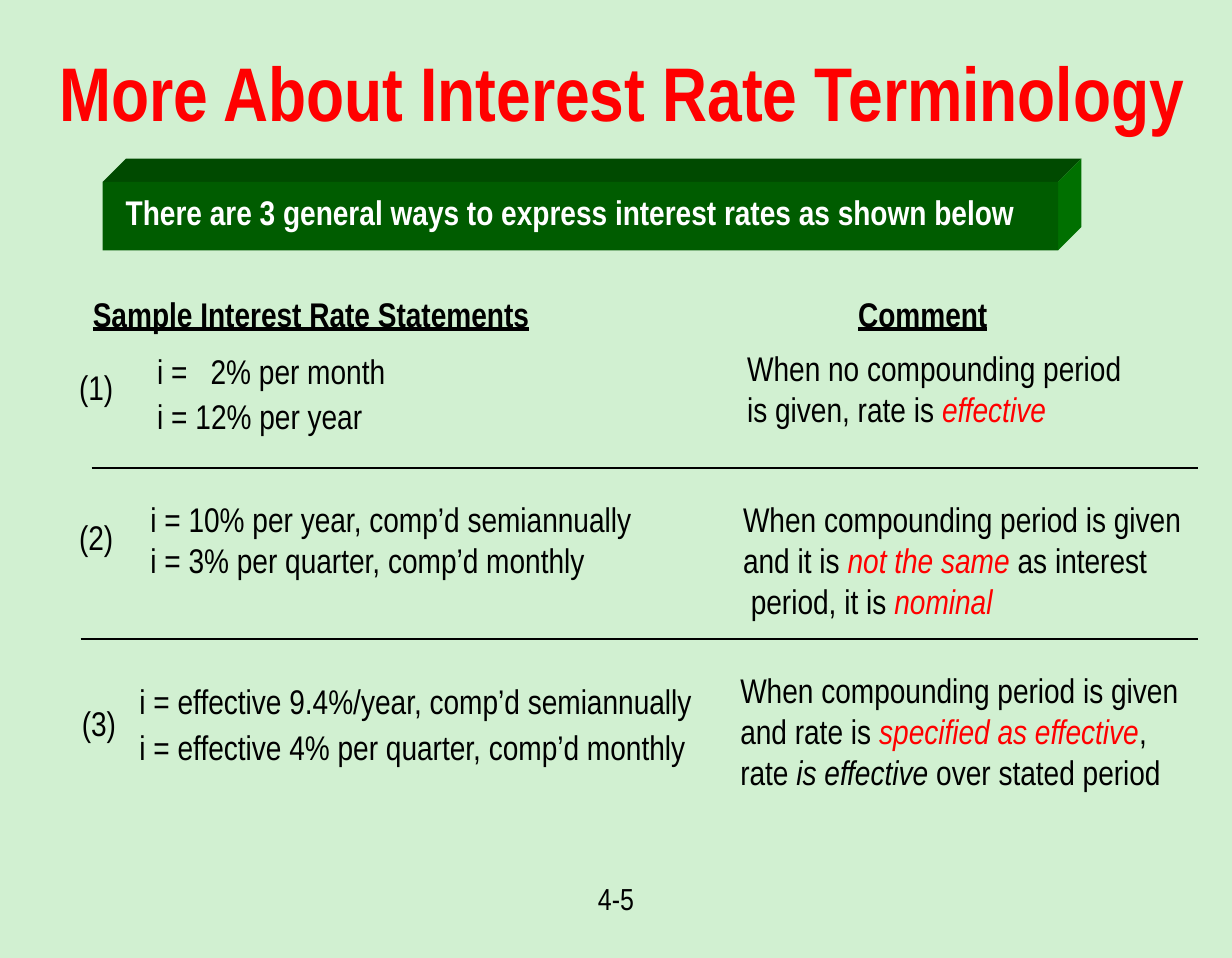
from lxml.etree import SubElement
from pptx import Presentation
from pptx.dml.color import RGBColor
from pptx.enum.shapes import MSO_CONNECTOR, MSO_SHAPE
from pptx.enum.text import MSO_ANCHOR, PP_ALIGN
from pptx.oxml.ns import qn
from pptx.util import Inches, Pt

FONT = "Arial Narrow"
COLOURS = {
    "background": "D1F0D1",
    "text": "000000",
    "accent": "FF0000",
    "white": "FFFFFF",
    "banner_front": "005C00",
    "banner_top": "004A00",
    "banner_side": "007000",
}
RED_ITALIC = {"colour": "accent", "italic": True}

# Per row: number and its place, statements as (left, top, lines), comment place and lines
ROWS = [
    ("(1)", 0.48, 2.63,
     [(1.05, 2.51, ["i =\t2% per month"]), (1.05, 2.84, ["i = 12% per year"])],
     5.36, 2.49,
     ["When no compounding period",
      ["is given, rate is ", ("effective", RED_ITALIC)]]),
    ("(2)", 0.48, 3.72,
     [(1, 3.59, ["i = 10% per year, comp’d semiannually",
                 "i = 3% per quarter, comp’d monthly"])],
     5.33, 3.59,
     ["When compounding period is given",
      ["and it is ", ("not the same ", RED_ITALIC), "as interest"],
      [" period, it is ", ("nominal", RED_ITALIC)]]),
    ("(3)", 0.5, 5.08,
     [(0.92, 4.92, ["i = effective 9.4%/year, comp’d semiannually"]),
      (0.92, 5.26, ["i = effective 4% per quarter, comp’d monthly"])],
     5.31, 4.84,
     ["When compounding period is given",
      ["and rate is ", ("specified as effective", RED_ITALIC), ","],
      ["rate ", ("is effective", {"italic": True}), " over stated period"]]),
]


def colour(name):
    """Return the named colour."""
    return RGBColor.from_string(COLOURS[name])


def add_text(slide, left, top, width, height, lines, size=18, colour_name="text",
             bold=False, underline=False, align=PP_ALIGN.LEFT, anchor=MSO_ANCHOR.TOP):
    """Add a text box; a line is a string or a list of strings and (string, style)."""
    shape = slide.shapes.add_textbox(Inches(left), Inches(top), Inches(width), Inches(height))
    frame = shape.text_frame
    frame.word_wrap = True
    frame.vertical_anchor = anchor
    for index, line in enumerate(lines):
        paragraph = frame.add_paragraph() if index else frame.paragraphs[0]
        paragraph.alignment = align
        for part in [line] if isinstance(line, str) else line:
            text, style = (part, {}) if isinstance(part, str) else part
            run = paragraph.add_run()
            run.text = text
            run.font.name = FONT
            run.font.size = Pt(size)
            run.font.bold = bold
            run.font.underline = underline
            run.font.italic = style.get("italic", False)
            run.font.color.rgb = colour(style.get("colour", colour_name))
            if "\t" in text:
                add_tab_stop(paragraph, 0.39)
    return shape


def add_tab_stop(paragraph, position):
    """Set a left tab stop on a paragraph."""
    tabs = SubElement(paragraph._p.get_or_add_pPr(), qn("a:tabLst"))
    SubElement(tabs, qn("a:tab"), pos=str(Inches(position)), algn="l")


def paint(shape, colour_name):
    """Give a shape a flat fill without line or shadow."""
    shape.shadow.inherit = False
    shape.fill.solid()
    shape.fill.fore_color.rgb = colour(colour_name)
    shape.line.fill.background()


def add_face(slide, points, colour_name):
    """Add one slanted face of the banner."""
    corners = [(Inches(x), Inches(y)) for x, y in points]
    builder = slide.shapes.build_freeform(*corners[0])
    builder.add_line_segments(corners[1:], close=True)
    paint(builder.convert_to_shape(), colour_name)


def add_banner(slide, left, top, width, height, depth, text):
    """Add a block with visible top and right faces and its text."""
    right, bottom = left + width, top + height
    back_right = (right + depth, top - depth)
    add_face(slide, [(left, top), (left + depth, top - depth), back_right, (right, top)],
             "banner_top")
    add_face(slide, [(right, top), back_right, (right + depth, bottom - depth),
                     (right, bottom)], "banner_side")
    front = slide.shapes.add_shape(MSO_SHAPE.RECTANGLE, Inches(left), Inches(top),
                                   Inches(width), Inches(height))
    paint(front, "banner_front")
    add_text(slide, 0.82, 1.35, 7.08, 0.4, [text], colour_name="white", bold=True)


def add_rule(slide, left, right, top):
    """Add a horizontal separator line."""
    line = slide.shapes.add_connector(MSO_CONNECTOR.STRAIGHT, Inches(left), Inches(top),
                                      Inches(right), Inches(top))
    line.line.color.rgb = colour("text")
    line.line.width = Pt(1.25)
    SubElement(line._element.spPr, qn("a:effectLst"))


def add_row(slide, number, number_left, number_top, statements,
            comment_left, comment_top, comment):
    """Add a numbered row of statements with its comment."""
    add_text(slide, number_left, number_top, 0.5, 0.41, [number])
    for left, top, lines in statements:
        add_text(slide, left, top, 4.35, 0.11 + 0.3 * len(lines), lines)
    add_text(slide, comment_left, comment_top, 3.5, 0.11 + 0.3 * len(comment), comment)


def main():
    """Build and save the slide."""
    presentation = Presentation()
    presentation.slide_width = Inches(9)
    presentation.slide_height = Inches(7)
    slide = presentation.slides.add_slide(presentation.slide_layouts[6])
    slide.background.fill.solid()
    slide.background.fill.fore_color.rgb = colour("background")

    add_text(slide, 0.17, 0.22, 8.75, 0.89, ["More About Interest Rate Terminology"],
             size=40, colour_name="accent", bold=True,
             align=PP_ALIGN.CENTER, anchor=MSO_ANCHOR.MIDDLE)
    add_banner(slide, 0.75, 1.33, 6.98, 0.5, 0.17,
               "There are 3 general ways to express interest rates as shown below")
    for left, width, heading in [(0.58, 4, "Sample Interest Rate Statements"),
                                 (6.17, 2, "Comment")]:
        add_text(slide, left, 2.09, width, 0.41, [heading], bold=True, underline=True)
    for row in ROWS:
        add_row(slide, *row)
    add_rule(slide, 0.67, 8.75, 3.42)
    add_rule(slide, 0.59, 8.75, 4.67)
    add_text(slide, 3.9, 6.38, 1.2, 0.47, ["4-5"], size=16, align=PP_ALIGN.CENTER)
    presentation.save("out.pptx")


main()
